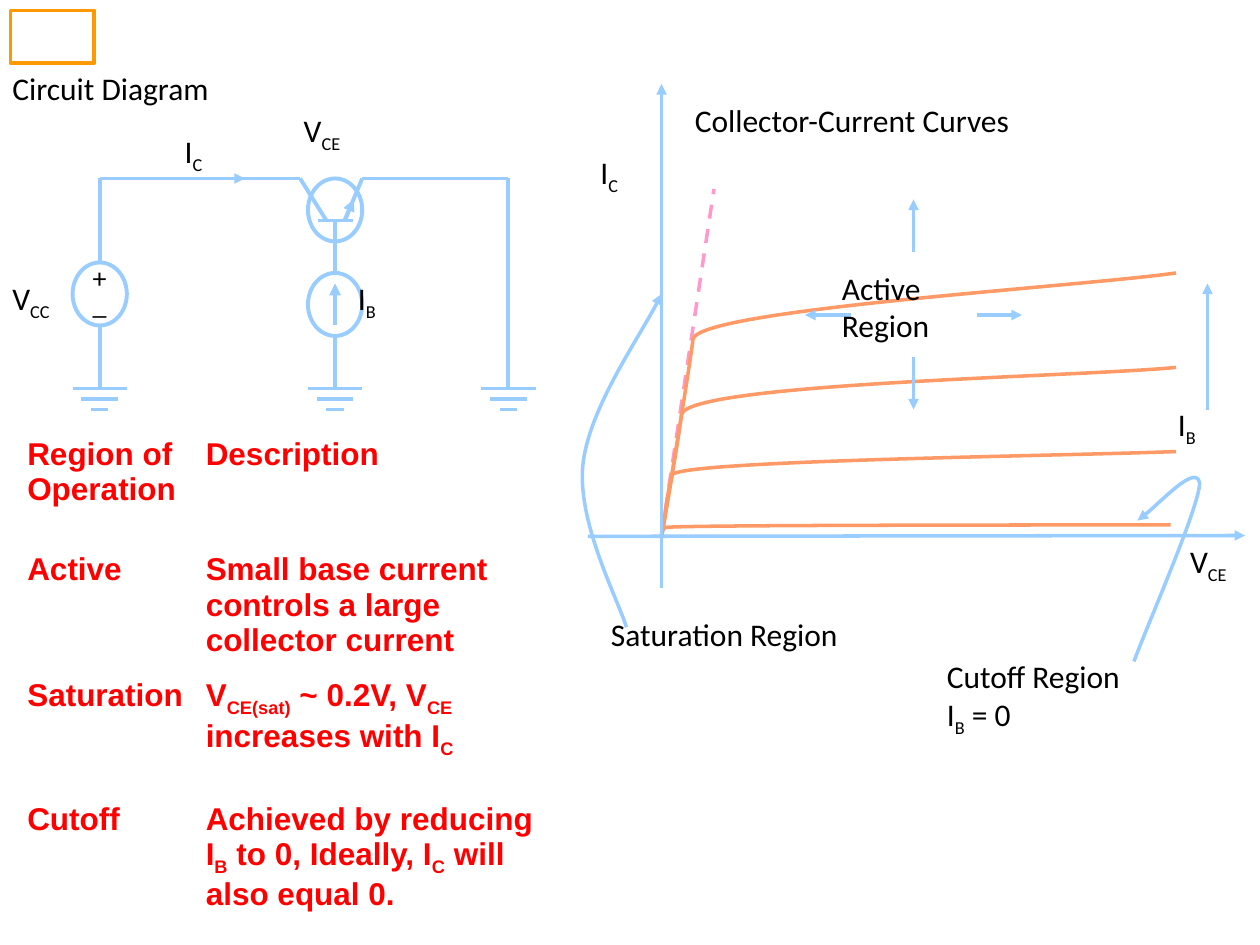
from dataclasses import dataclass

from lxml import etree
from pptx import Presentation
from pptx import util as u
from pptx.dml.color import RGBColor
from pptx.enum import dml, shapes, text
from pptx.oxml.ns import qn

Pt = u.Pt


@dataclass(frozen=True)
class Theme:
    wire: RGBColor = RGBColor(0x99, 0xCC, 0xFF)
    curve: RGBColor = RGBColor(0xFF, 0x99, 0x66)
    limit: RGBColor = RGBColor(0xFF, 0x99, 0xCC)
    emblem: RGBColor = RGBColor(0xFF, 0x99, 0x00)
    label: RGBColor = RGBColor(0, 0, 0)
    table: RGBColor = RGBColor(0xFF, 0, 0)
    label_font: str = "Calibri"
    table_font: str = "Arial"
    body: float = 18
    sign: float = 16
    thick: float = 2.25
    thin: float = 2


THEME = Theme()
LABEL = {"name": THEME.label_font, "size": Pt(THEME.body), "bold": False}
SIGN = {**LABEL, "size": Pt(THEME.sign)}
CELL = {"name": THEME.table_font, "size": Pt(THEME.body), "bold": True}


def apply(target, values):
    for name, value in values.items():
        setattr(target, name, value)


def write(para, content, style, color):
    """Every second piece between bars is a subscript."""
    for index, piece in enumerate(content.split("|")):
        if not piece:
            continue
        span = para.add_run()
        span.text = piece
        apply(span.font, style)
        span.font.color.rgb = color
        if index % 2:
            span.font._element.set("baseline", "-25000")


def add_label(page, left, top, width, height, *lines):
    box = page.shapes.add_textbox(Pt(left), Pt(top), Pt(width), Pt(height))
    frame = box.text_frame
    frame.word_wrap = True
    for index, content in enumerate(lines):
        para = frame.add_paragraph() if index else frame.paragraphs[0]
        write(para, content, LABEL, THEME.label)


def set_stroke(line, color, width, arrow=False, dash=None):
    line.color.rgb = color
    line.width = Pt(width)
    if dash:
        line.dash_style = dash
    if arrow:
        etree.SubElement(line._get_or_add_ln(), qn("a:tailEnd"), type="triangle")


def add_line(page, x1, y1, x2, y2, color=THEME.wire, width=THEME.thick, **ends):
    line = page.shapes.add_connector(
        shapes.MSO_CONNECTOR.STRAIGHT, Pt(x1), Pt(y1), Pt(x2), Pt(y2))
    set_stroke(line.line, color, width, **ends)
    etree.SubElement(line._element.spPr, qn("a:effectLst"))


def add_arrow(page, x1, y1, x2, y2, width=THEME.thin):
    add_line(page, x1, y1, x2, y2, width=width, arrow=True)


def add_outline(page, kind, left, top, width, height, color=THEME.wire):
    shape = page.shapes.add_shape(kind, Pt(left), Pt(top), Pt(width), Pt(height))
    shape.fill.background()
    shape.shadow.inherit = False
    set_stroke(shape.line, color, THEME.thick)
    return shape


def add_circle(page, center, top):
    return add_outline(page, shapes.MSO_SHAPE.OVAL, center - 15.5, top, 31, 36)


def add_curve(page, points, color, arrow=False):
    """Points are a start followed by triples of Bezier points."""
    start, *rest = [(Pt(x), Pt(y)) for x, y in points]
    builder = page.shapes.build_freeform(*start)
    builder.add_line_segments(rest, close=False)
    shape = builder.convert_to_shape()
    outline = shape._element.find(".//" + qn("a:path"))
    outline.set("fill", "none")
    steps = outline.findall(qn("a:lnTo"))
    for first in range(0, len(steps), 3):
        bend = etree.SubElement(outline, qn("a:cubicBezTo"))
        for step in steps[first:first + 3]:
            bend.append(step[0])
            outline.remove(step)
    shape.fill.background()
    shape.shadow.inherit = False
    set_stroke(shape.line, color, THEME.thin, arrow)


def add_ground(page, center):
    for step, half in enumerate((15.5, 10.5, 5)):
        y = 222 + 6 * step
        add_line(page, center - half, y, center + half, y)


def add_circuit(page):
    supply, base, ground = 57, 191.5, 290.5
    source = add_circle(page, supply, 150)
    frame = source.text_frame
    apply(frame, {"word_wrap": False, "vertical_anchor": text.MSO_ANCHOR.MIDDLE})
    for index, sign in enumerate("+_"):
        para = frame.add_paragraph() if index else frame.paragraphs[0]
        apply(para, {"line_spacing": 0.75, "alignment": text.PP_ALIGN.CENTER})
        write(para, sign, SIGN, THEME.label)
    for top in (102, 156):
        add_circle(page, base, top)
    wires = [
        (supply, 150, supply, 102), (supply, 102, 171.5, 102),
        (171.5, 102, 186.5, 126), (181.5, 126, 202, 126),
        (197, 126, 207, 102), (207, 102, ground, 102),
        (base, 126, base, 156), (supply, 186, supply, 222),
        (base, 192, base, 222), (ground, 102, ground, 222),
    ]
    for wire in wires:
        add_line(page, *wire)
    for center in (supply, base, ground):
        add_ground(page, center)
    add_arrow(page, base, 186, base, 162, THEME.thick)
    add_arrow(page, 197, 126, 202, 114, THEME.thick)
    add_arrow(page, 104, 102, 140, 102)


def add_graph(page):
    add_line(page, 378, 306, 408, 108, THEME.limit, THEME.thin,
             dash=dml.MSO_LINE.DASH)
    collector_curves = [
        [(378, 306), (378, 305), (378, 303), (380, 301.5),
         (382, 300), (608, 300), (669, 300)],
        [(378, 306), (379.5, 300), (381.5, 280), (384, 271.5),
         (386, 263), (612, 260.5), (672, 258)],
        [(378, 307), (380, 296), (387, 255.5), (389.5, 237),
         (392.5, 219), (613.5, 215.5), (672, 210)],
        [(378, 307), (381, 289), (394, 211), (396, 194),
         (398, 177), (615, 164), (672, 156)],
    ]
    for points in collector_curves:
        add_curve(page, points, THEME.curve)
    pointers = [
        [(358, 358.5), (353.5, 343.5), (330, 299), (333, 266.5),
         (336, 234.5), (368.5, 188.5), (378, 168)],
        [(648, 378), (654, 361), (685.5, 289.5), (685.5, 276),
         (683.5, 265), (658, 292.5), (650, 297.5)],
    ]
    for points in pointers:
        add_curve(page, points, THEME.wire, arrow=True)
    arrows = [
        (558, 180, 584, 180), (522, 144, 522, 114),
        (486, 180, 460, 180), (522, 204, 522, 234),
        (690, 234, 690, 162),
        (378, 336, 378, 48), (336, 306.5, 711.5, 306),
    ]
    for arrow in arrows:
        add_arrow(page, *arrow)


def add_regions(page):
    rows = [
        ("Region of Operation", "Description"),
        ("Active", "Small base current controls a large collector current"),
        ("Saturation", "V|CE(sat)| ~ 0.2V, V|CE| increases with I|C|"),
        ("Cutoff", "Achieved by reducing I|B| to 0, Ideally, I|C| will also equal 0."),
    ]
    table = page.shapes.add_table(4, 2, Pt(12), Pt(246), Pt(312), Pt(278)).table
    apply(table, {"first_row": False, "horz_banding": False})
    for column, width in zip(table.columns, (102, 210)):
        column.width = Pt(width)
    for row, height, contents in zip(table.rows, (66, 70.5, 70.5, 70.5), rows):
        row.height = Pt(height)
        for cell, content in zip(row.cells, contents):
            cell.fill.background()
            for side in ("left", "top", "right", "bottom"):
                setattr(cell, f"margin_{side}", Pt(3.6))
            write(cell.text_frame.paragraphs[0], content, CELL, THEME.table)


def main():
    deck = Presentation()
    apply(deck, {"slide_width": Pt(720), "slide_height": Pt(540)})
    page = deck.slides.add_slide(deck.slide_layouts[6])
    add_outline(page, shapes.MSO_SHAPE.RECTANGLE, 6, 6, 48, 30, THEME.emblem)
    add_circuit(page)
    add_graph(page)
    labels = [
        (0, 36, 222, 31, "Circuit Diagram"),
        (0, 156, 47, 31, "V|CC|"),
        (98.5, 72, 47, 31, "I|C|"),
        (166.5, 60, 47, 31, "V|CE|"),
        (197.5, 156, 47, 31, "I|B|"),
        (390, 54, 258, 31, "Collector-Current Curves"),
        (673, 306, 47, 31, "V|CE|"),
        (336, 84, 47, 31, "I|C|"),
        (474, 150, 96, 50, "Active Region"),
        (666, 228, 47, 31, "I|B|"),
        (342, 348, 192, 29, "Saturation Region"),
        (534, 372, 144, 50, "Cutoff Region", "I|B| = 0"),
    ]
    for label in labels:
        add_label(page, *label)
    add_regions(page)
    deck.save("out.pptx")


if __name__ == "__main__":
    main()
